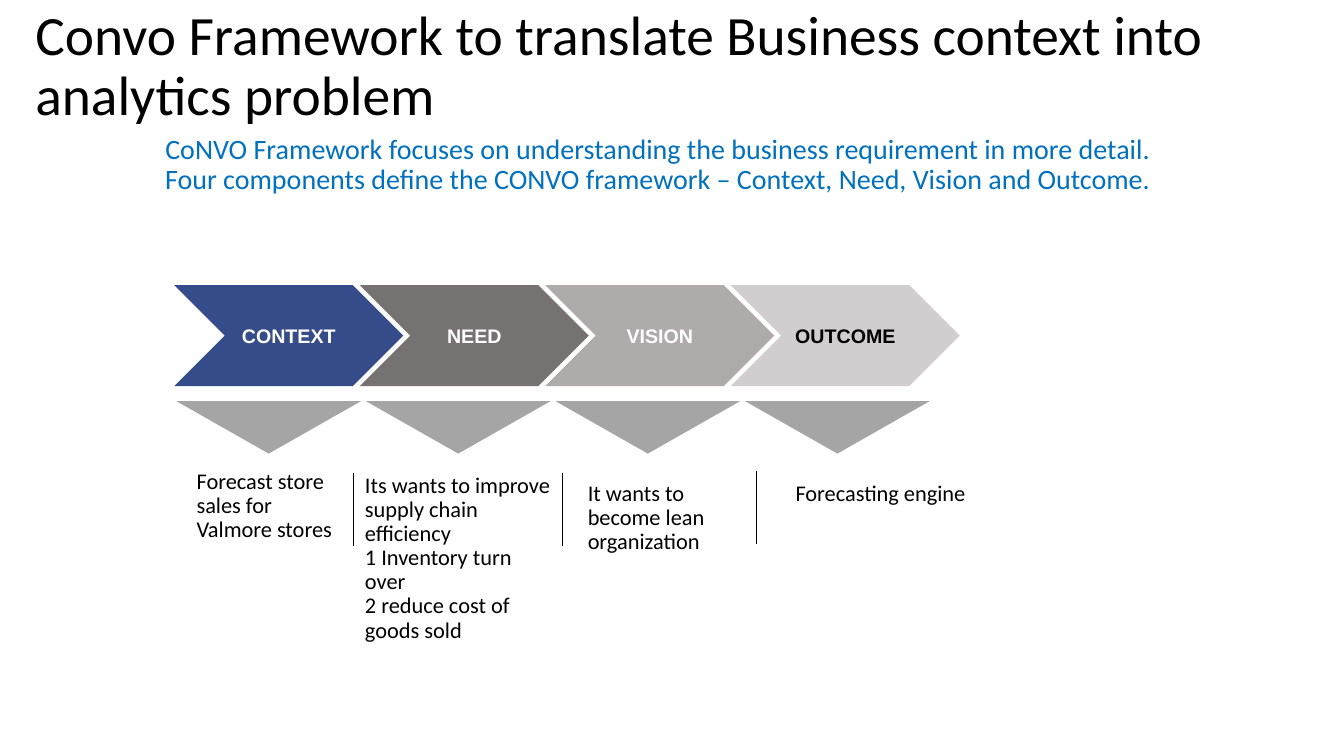
"""Builds the CoNVO framework slide."""
from dataclasses import dataclass

from lxml import etree
from pptx import Presentation
from pptx.dml.color import RGBColor
from pptx.enum.shapes import MSO_CONNECTOR as Connector, MSO_SHAPE as Shape
from pptx.enum.text import MSO_ANCHOR as Anchor, MSO_AUTO_SIZE as AutoSize, PP_ALIGN as Align
from pptx.oxml.ns import qn
from pptx.util import Emu, Pt

PX = 9144
TITLE_ONLY = 5


def px(length):
    """Turns px, a hundred to the inch, into EMU."""
    return Emu(length * PX)


@dataclass(frozen=True)
class Theme:
    """Holds the fonts, type sizes and colours."""
    body_font: str = "Calibri"
    label_font: str = "Arial"
    title_size: float = 39.6
    intro_size: int = 20
    body_size: int = 16
    label_size: int = 14
    line_width: float = 0.5
    line_spacing: float = 0.9
    black: str = "000000"
    white: str = "FFFFFF"
    blue: str = "0070C0"
    pointer: str = "A5A5A5"
    stages: tuple = ("364C8A", "767272", "AFABAB", "D0CECE")


class SlideBuilder:
    """Draws styled elements on the current slide."""

    def __init__(self, slide, theme):
        self.slide = slide
        self.theme = theme

    def fill_text(self, frame, lines, size, color, align=Align.LEFT, font=None, bold=False, spacing=None):
        """Fills a text frame with one paragraph per line."""
        frame.word_wrap = True
        frame.auto_size = AutoSize.NONE
        frame.text = "\n".join(lines)
        for para in frame.paragraphs:
            para.alignment = align
            para.line_spacing = spacing or self.theme.line_spacing
            for span in para.runs:
                span.font.name = font or self.theme.body_font
                span.font.size = Pt(size)
                span.font.bold = bold
                span.font.color.rgb = RGBColor.from_string(color)

    def title(self, text, left, top, width, height):
        """Places and formats the title placeholder."""
        title = self.slide.shapes.title
        title.left, title.top, title.width, title.height = map(px, (left, top, width, height))
        title.text_frame.vertical_anchor = Anchor.MIDDLE
        self.fill_text(title.text_frame, [text], self.theme.title_size, self.theme.black)

    def text(self, lines, left, top, width, height, size, color, align=Align.LEFT):
        """Adds a padded text box."""
        box = self.slide.shapes.add_textbox(*map(px, (left, top, width, height)))
        frame = box.text_frame
        frame.margin_left = frame.margin_right = px(20)
        frame.margin_top = frame.margin_bottom = px(16)
        self.fill_text(frame, lines, size, color, align)

    def shape(self, kind, left, top, width, height, fill):
        """Adds a flat preset shape without outline."""
        shape = self.slide.shapes.add_shape(kind, *map(px, (left, top, width, height)))
        shape.shadow.inherit = False
        shape.fill.solid()
        shape.fill.fore_color.rgb = RGBColor.from_string(fill)
        shape.line.fill.background()
        return shape

    def chevron(self, label, left, top, width, height, fill, color):
        """Adds a labelled stage chevron."""
        frame = self.shape(Shape.CHEVRON, left, top, width, height, fill).text_frame
        frame.margin_top = frame.margin_bottom = 0
        frame.vertical_anchor = Anchor.MIDDLE
        self.fill_text(frame, [label], self.theme.label_size, color, Align.CENTER,
                       self.theme.label_font, bold=True, spacing=1.0)

    def pointer(self, left, top, width, height):
        """Adds a triangle that points down."""
        triangle = self.shape(Shape.ISOSCELES_TRIANGLE, left, top, width, height, self.theme.pointer)
        triangle.rotation = 180

    def divider(self, left, top, height):
        """Adds a thin vertical line."""
        line = self.slide.shapes.add_connector(
            Connector.STRAIGHT, *map(px, (left, top, left, top + height)))
        line.line.width = Pt(self.theme.line_width)
        line.line.color.rgb = RGBColor.from_string(self.theme.black)
        etree.SubElement(line._element.spPr, qn("a:effectLst"))


def main():
    """Builds and saves the deck."""
    deck = Presentation()
    deck.slide_width, deck.slide_height = px(1333), px(750)
    theme = Theme()
    page = SlideBuilder(deck.slides.add_slide(deck.slide_layouts[TITLE_ONLY]), theme)

    page.title("Convo Framework to translate Business context into analytics problem", 25, 31, 1271, 72)
    page.text(["CoNVO Framework focuses on understanding the business requirement in more detail.",
               "Four components define the CONVO framework – Context, Need, Vision and Outcome."],
              52, 118, 1201, 93, theme.intro_size, theme.blue, Align.CENTER)

    labels = ("CONTEXT", "NEED", "VISION", "OUTCOME")
    for index, (label, fill) in enumerate(zip(labels, theme.stages)):
        color = theme.black if label == "OUTCOME" else theme.white
        page.chevron(label, 173 + 184 * index, 283, 227, 100, fill, color)
        page.pointer(175 + 188 * index, 398, 183, 52)

    details = (
        (["Forecast store sales for Valmore stores"], 175, 450, 190, 105),
        (["Its wants to improve supply chain efficiency", "1 Inventory turn over",
          "2 reduce cost of goods sold"], 342, 454, 225, 250),
        (["It wants to become lean organization"], 563, 462, 187, 105),
        (["Forecasting engine"], 769, 462, 218, 57),
    )
    for lines, left, top, width, height in details:
        page.text(lines, left, top, width, height, theme.body_size, theme.black)

    for left, top in ((350, 469), (558, 469), (750, 467)):
        page.divider(left, top, 73)

    deck.save("out.pptx")


if __name__ == "__main__":
    main()
